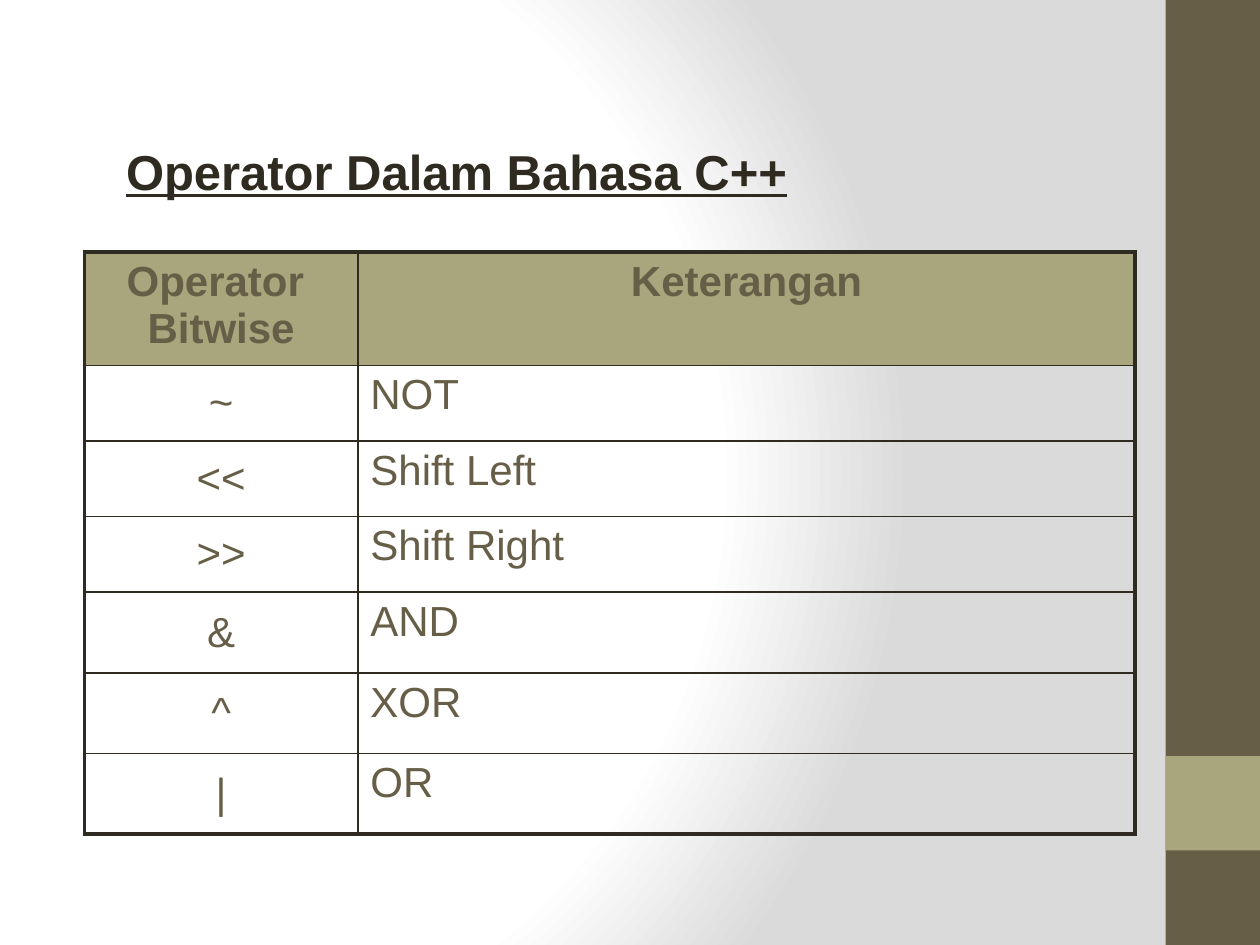
from pptx import Presentation
from pptx.dml.color import RGBColor
from pptx.enum.shapes import MSO_SHAPE
from pptx.enum.text import MSO_ANCHOR, PP_ALIGN
from pptx.oxml import parse_xml
from pptx.oxml.ns import nsdecls, qn
from pptx.util import Inches, Pt

RECTANGLE = MSO_SHAPE.RECTANGLE
TOP, MIDDLE = MSO_ANCHOR.TOP, MSO_ANCHOR.MIDDLE
LEFT, CENTER, JUSTIFY = PP_ALIGN.LEFT, PP_ALIGN.CENTER, PP_ALIGN.JUSTIFY
TITLE_ONLY = 5
FONT = "Arial"
COLORS = {
    "white": "FFFFFF",
    "gray": "DADADA",
    "brown": "675E47",
    "olive": "A9A57C",
    "dark": "2F2B20",
}
OUTER_BORDER, INNER_BORDER = 2.25, 1
COLUMN_WIDTHS = [2.17, 6.17]
ROW_HEIGHTS = [0.9] + [0.6] * 3 + [0.64] * 3
ROWS = [
    ("Operator  Bitwise", "Keterangan"),
    ("~", "NOT"),
    ("<<", "Shift Left"),
    (">>", "Shift Right"),
    ("&", "AND"),
    ("^", "XOR"),
    ("|", "OR"),
]


def color(name):
    return RGBColor.from_string(COLORS[name])


def set_background(slide):
    slide.background.fill.solid()
    properties = slide.background._cSld.find(".//" + qn("p:bgPr"))
    stops = "".join(
        f'<a:gs pos="{position * 1000}"><a:srgbClr val="{COLORS[name]}"/></a:gs>'
        for position, name in [(0, "white"), (75, "white"), (100, "gray")]
    )
    gradient = parse_xml(
        f'<a:gradFill {nsdecls("a")} rotWithShape="1"><a:gsLst>{stops}</a:gsLst>'
        '<a:path path="circle"><a:fillToRect l="20000" t="50000" r="100000" b="50000"/>'
        "</a:path></a:gradFill>"
    )
    properties.replace(properties[0], gradient)


def add_block(slide, left, top, width, height, fill):
    block = slide.shapes.add_shape(
        RECTANGLE, Inches(left), Inches(top), Inches(width), Inches(height)
    )
    block.shadow.inherit = False
    block.fill.solid()
    block.fill.fore_color.rgb = color(fill)
    block.line.fill.background()


def format_text(frame, text, size, color_name, align, bold=False):
    frame.text = text
    para = frame.paragraphs[0]
    para.alignment = align
    para.font.name = FONT
    para.font.size = Pt(size)
    para.font.bold = bold
    para.font.color.rgb = color(color_name)
    return para


def set_title(slide, text):
    title = slide.shapes.title
    title.left, title.top = Inches(1), Inches(1.12)
    title.width, title.height = Inches(6.33), Inches(0.47)
    frame = title.text_frame
    frame.margin_left = frame.margin_right = 0
    frame.margin_top = frame.margin_bottom = 0
    frame.word_wrap = True
    frame.vertical_anchor = TOP
    para = format_text(frame, text, 28, "dark", JUSTIFY, bold=True)
    para.font.underline = True


def set_borders(cell, outer_sides):
    properties = cell._tc.get_or_add_tcPr()
    for side in "LRTB":
        width = Pt(OUTER_BORDER if side in outer_sides else INNER_BORDER)
        properties.append(parse_xml(
            f'<a:ln{side} {nsdecls("a")} w="{width}"><a:solidFill>'
            f'<a:srgbClr val="{COLORS["dark"]}"/></a:solidFill></a:ln{side}>'
        ))


def format_cell(cell, text, row, column):
    is_header = row == 0
    outer_sides = "L" if column == 0 else "R"
    if is_header:
        outer_sides += "T"
    if row == len(ROWS) - 1:
        outer_sides += "B"
    set_borders(cell, outer_sides)
    if is_header:
        cell.fill.solid()
        cell.fill.fore_color.rgb = color("olive")
    else:
        cell.fill.background()
    is_symbol = column == 0 and not is_header
    cell.vertical_anchor = MIDDLE if is_symbol else TOP
    align = CENTER if is_header or is_symbol else LEFT
    format_text(cell.text_frame, text, 24, "brown", align, bold=is_header)


def add_operator_table(slide):
    table = slide.shapes.add_table(
        len(ROWS), len(COLUMN_WIDTHS), Inches(0.67), Inches(2),
        Inches(sum(COLUMN_WIDTHS)), Inches(sum(ROW_HEIGHTS)),
    ).table
    table.first_row = False
    table.horz_banding = False
    for column, width in zip(table.columns, COLUMN_WIDTHS):
        column.width = Inches(width)
    for row, (height, texts) in enumerate(zip(ROW_HEIGHTS, ROWS)):
        table.rows[row].height = Inches(height)
        for column, text in enumerate(texts):
            format_cell(table.cell(row, column), text, row, column)


def main():
    deck = Presentation()
    deck.slide_width, deck.slide_height = Inches(10), Inches(7.5)
    slide = deck.slides.add_slide(deck.slide_layouts[TITLE_ONLY])
    set_background(slide)
    add_block(slide, 9.25, 0, 0.75, 7.5, "brown")
    add_block(slide, 9.25, 6, 0.75, 0.75, "olive")
    add_operator_table(slide)
    set_title(slide, "Operator Dalam Bahasa C++")
    deck.save("out.pptx")


main()
